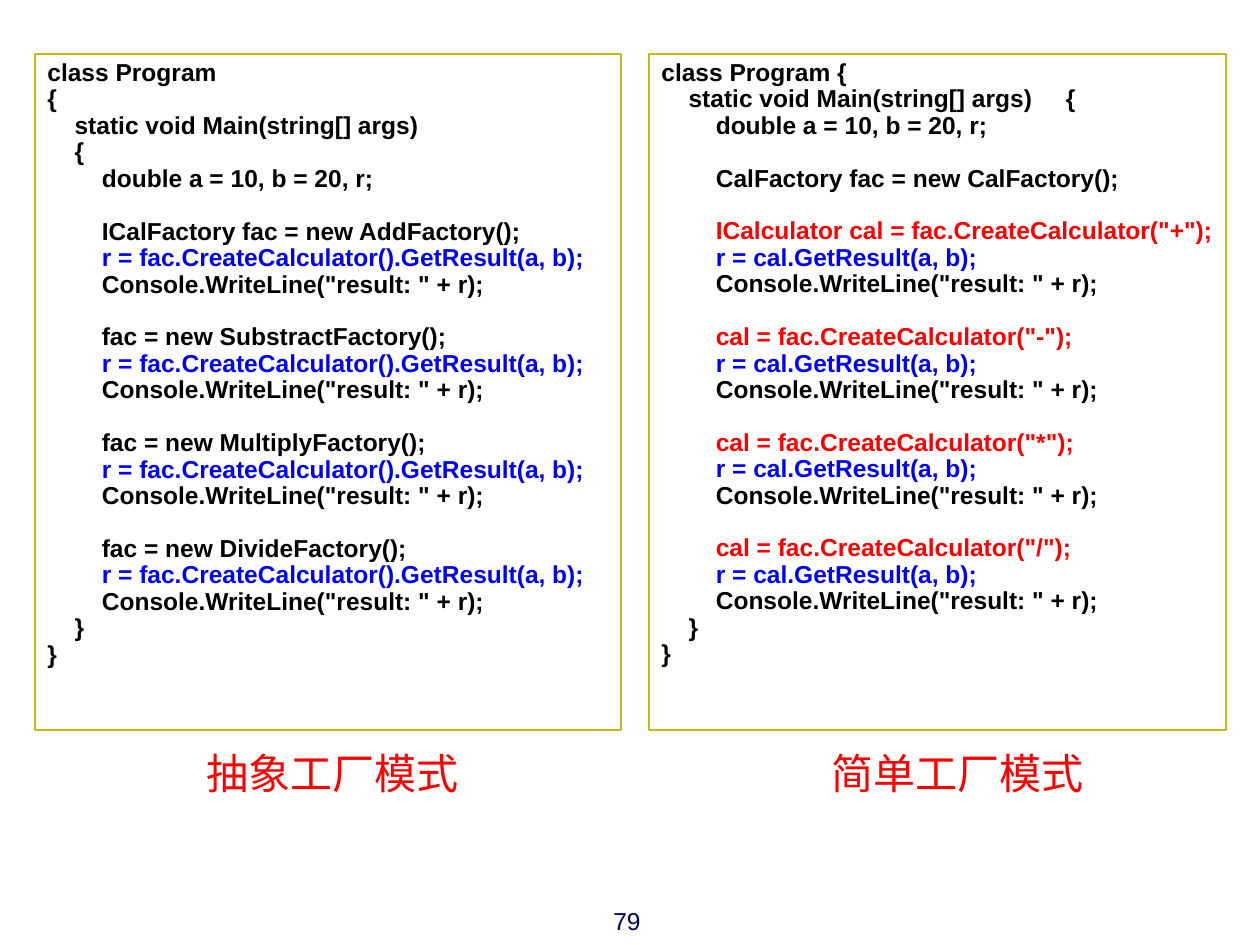
from lxml import etree
from pptx import Presentation
from pptx import util as u
from pptx.dml.color import RGBColor
from pptx.enum import shapes, text
from pptx.oxml.ns import qn

PX = 914400 // 126  # one px in EMU

THEME = {
    "black": "000000", "blue": "0000FF", "red": "FF0000",
    "navy": "000066", "gold": "CBB61D",
    "code": 14, "label": 24, "page": 14, "gap": 15,
    "latin": "Arial", "cjk": "Noto Sans CJK SC",
}

# Content: code lines as (colour, text); None opens a gap
PAD = " " * 8
PRINT = ("black", PAD + 'Console.WriteLine("result: " + r);')
CLOSE = [("black", "    }"), ("black", "}")]


def abstract_step(line):
    call = PAD + "r = fac.CreateCalculator().GetResult(a, b);"
    return [None, ("black", PAD + line), ("blue", call), PRINT]


def simple_step(line):
    call = PAD + "r = cal.GetResult(a, b);"
    return [None, ("red", PAD + line), ("blue", call), PRINT]


ABSTRACT = [
    ("black", "class Program"),
    ("black", "{"),
    ("black", "    static void Main(string[] args)"),
    ("black", "    {"),
    ("black", PAD + "double a = 10, b = 20, r;"),
    *abstract_step("ICalFactory fac = new AddFactory();"),
    *abstract_step("fac = new SubstractFactory();"),
    *abstract_step("fac = new MultiplyFactory();"),
    *abstract_step("fac = new DivideFactory();"),
    *CLOSE,
]
SIMPLE = [
    ("black", "class Program {"),
    ("black", "    static void Main(string[] args)     {"),
    ("black", PAD + "double a = 10, b = 20, r;"),
    None,
    ("black", PAD + "CalFactory fac = new CalFactory();"),
    *simple_step('ICalculator cal = fac.CreateCalculator("+");'),
    *simple_step('cal = fac.CreateCalculator("-");'),
    *simple_step('cal = fac.CreateCalculator("*");'),
    *simple_step('cal = fac.CreateCalculator("/");'),
    *CLOSE,
]
# Panels: left, width, code, label left, label
PANELS = [
    (35, 586, ABSTRACT, 194, "抽象工厂模式"),
    (649, 577, SIMPLE, 819, "简单工厂模式"),
]
PAGE = "79"


def color(name):
    return RGBColor.from_string(THEME[name])


def style(para, size, tone, face="latin", bold=False):
    font = para.font
    font.size, font.bold = u.Pt(THEME[size]), bold
    font.name, font.color.rgb = THEME[face], color(tone)


def add_code(slide, left, width, lines):
    box = slide.shapes.add_shape(
        shapes.MSO_SHAPE.RECTANGLE, left * PX, 54 * PX, width * PX, 676 * PX)
    box.shadow.inherit = False
    box.fill.background()
    box.line.color.rgb, box.line.width = color("gold"), u.Pt(1)
    frame = box.text_frame
    frame.word_wrap = True
    frame.vertical_anchor = text.MSO_ANCHOR.TOP
    para, gap = frame.paragraphs[0], False
    for row, line in enumerate(lines):
        if line is None:
            gap = True
            continue
        if row:
            para = frame.add_paragraph()
        tone, para.text = line
        para.alignment = text.PP_ALIGN.LEFT
        para.line_spacing = 0.9
        if gap:
            para.space_before = u.Pt(THEME["gap"])
        style(para, "code", tone, bold=True)
        gap = False


def add_text(slide, left, top, width, height, words):
    box = slide.shapes.add_textbox(left * PX, top * PX, width * PX, height * PX)
    para = box.text_frame.paragraphs[0]
    para.text = words
    return box.text_frame, para


def add_label(slide, left, words):
    frame, para = add_text(slide, left, 741, 287, 63, words)
    frame.word_wrap = True
    frame.auto_size = text.MSO_AUTO_SIZE.SHAPE_TO_FIT_TEXT
    style(para, "label", "red", "cjk")
    # East Asian face for the Chinese text
    run = para.runs[0].font
    run.name = THEME["cjk"]
    props = para.runs[0]._r.get_or_add_rPr()
    etree.SubElement(props, qn("a:ea")).set("typeface", THEME["cjk"])


def main():
    deck = Presentation()
    deck.slide_width, deck.slide_height = u.Inches(10), u.Inches(7.5)
    slide = deck.slides.add_slide(deck.slide_layouts[6])

    # Code panels with their labels
    for left, width, lines, start, label in PANELS:
        add_code(slide, left, width, lines)
        add_label(slide, start, label)

    # Page number
    frame, para = add_text(slide, 561, 900, 92, 26, PAGE)
    frame.word_wrap = True
    para.alignment = text.PP_ALIGN.RIGHT
    style(para, "page", "navy")

    deck.save("out.pptx")


if __name__ == "__main__":
    main()
